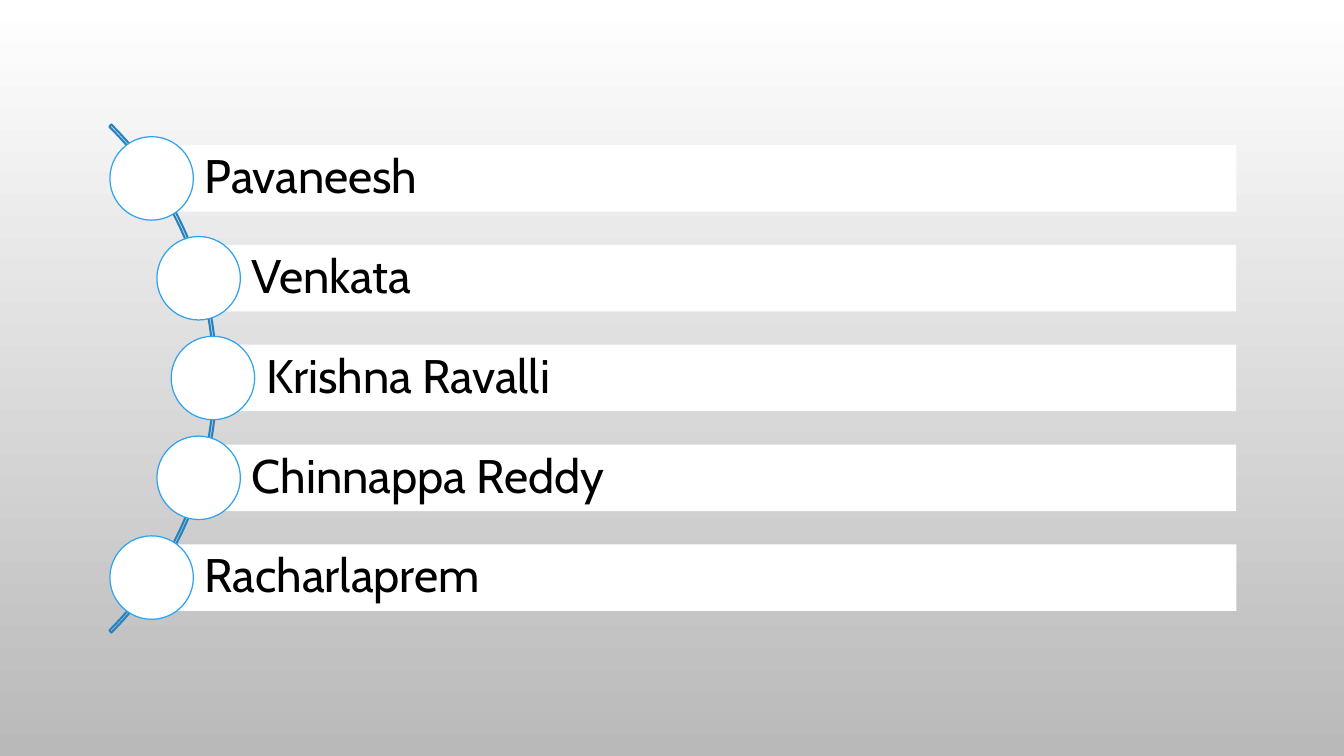
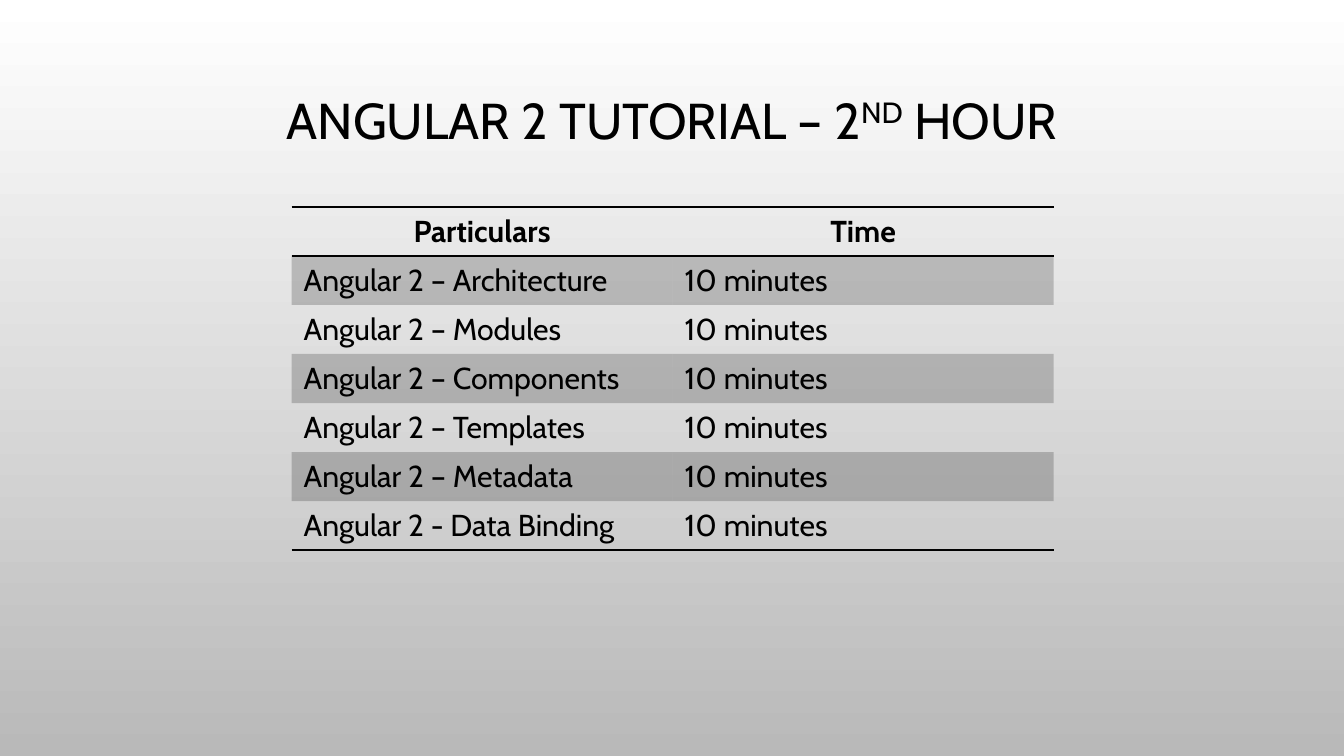
import math
from dataclasses import dataclass
from typing import Any, Optional

from lxml import etree
from pptx import Presentation
from pptx import util as u
from pptx.dml.color import RGBColor
from pptx.enum import shapes, text
from pptx.oxml import ns


@dataclass(frozen=True)
class Theme:
    font: str = "Cabin"
    ink: str = "000000"
    paper: str = "FFFFFF"
    background_end: str = "B9B9B9"
    arc: str = "2683BF"
    ring: str = "2FA3EE"
    name_size: int = 28
    title_size: int = 30
    table_size: int = 18
    band_opacity: int = 20
    plain_table_style: str = "{2D5ABB26-0587-4C30-8999-92F81FD0307C}"


@dataclass(frozen=True)
class Box:
    left: float
    top: float
    width: float
    height: float

    def lengths(self) -> tuple:
        return tuple(u.Inches(n) for n in (self.left, self.top, self.width, self.height))


@dataclass(frozen=True)
class Piece:
    """A stretch of text, raised by a percentage of its size."""
    words: str
    raised: int = 0


@dataclass(frozen=True)
class Topic:
    name: str
    time: str = "10 minutes"


THEME = Theme()
SLIDE_WIDTH, SLIDE_HEIGHT = 11.11, 6.25

NAMES = ["Pavaneesh", "Venkata", "Krishna Ravalli", "Chinnappa Reddy", "Racharlaprem"]
ARC = Box(-4.15, 0.16, 5.94, 5.94)
ORBIT = 2.94
ROW_PITCH = 0.825
BAR_HEIGHT, BAR_RIGHT = 0.55, 10.22
CIRCLE_SIZE = 0.69

TITLE = [Piece("ANGULAR 2 TUTORIAL – 2"), Piece("ND", 30), Piece(" HOUR")]
HEADINGS = Topic("Particulars", "Time")
TOPICS = [
    Topic("Angular 2 – Architecture"),
    Topic("Angular 2 – Modules"),
    Topic("Angular 2 – Components"),
    Topic("Angular 2 – Templates"),
    Topic("Angular 2 – Metadata"),
    Topic("Angular 2 - Data Binding"),
]


def color(value: str) -> RGBColor:
    return RGBColor.from_string(value)


def set_values(target: Any, values: dict) -> None:
    for name, value in values.items():
        setattr(target, name, value)


def write(paragraph: Any, pieces: list, size: int, bold: bool = False, **layout: Any) -> None:
    set_values(paragraph, layout)
    for piece in pieces:
        run = paragraph.add_run()
        run.text = piece.words
        set_values(run.font, {"name": THEME.font, "size": u.Pt(size), "bold": bold})
        run.font.color.rgb = color(THEME.ink)
        if piece.raised:
            run._r.get_or_add_rPr().set("baseline", str(piece.raised * 1000))


def add_shape(slide: Any, kind: Any, box: Box, fill: Optional[str] = None,
              line: Optional[str] = None, line_width: float = 0.75) -> Any:
    shape = slide.shapes.add_shape(kind, *box.lengths())
    shape.shadow.inherit = False
    if fill:
        shape.fill.solid()
        shape.fill.fore_color.rgb = color(fill)
    else:
        shape.fill.background()
    if line:
        shape.line.color.rgb = color(line)
        shape.line.width = u.Pt(line_width)
    else:
        shape.line.fill.background()
    return shape


def style_master(master: Any) -> None:
    fill = master.background.fill
    fill.gradient()
    fill.gradient_angle = 270
    for stop, value in zip(fill.gradient_stops, (THEME.paper, THEME.background_end)):
        stop.color.rgb = color(value)


def add_name_row(slide: Any, name: str, center_x: float, center_y: float) -> None:
    bar = add_shape(slide, shapes.MSO_SHAPE.RECTANGLE,
                    Box(center_x, center_y - BAR_HEIGHT / 2, BAR_RIGHT - center_x, BAR_HEIGHT),
                    fill=THEME.paper)
    margin = u.Inches(0.08)
    set_values(bar.text_frame, {
        "margin_left": u.Inches(0.44), "margin_top": margin,
        "margin_right": margin, "margin_bottom": margin,
        "vertical_anchor": text.MSO_ANCHOR.MIDDLE, "word_wrap": True,
    })
    write(bar.text_frame.paragraphs[0], [Piece(name)], THEME.name_size,
          alignment=text.PP_ALIGN.LEFT, line_spacing=0.9)
    radius = CIRCLE_SIZE / 2
    add_shape(slide, shapes.MSO_SHAPE.OVAL,
              Box(center_x - radius, center_y - radius, CIRCLE_SIZE, CIRCLE_SIZE),
              fill=THEME.paper, line=THEME.ring)


def build_names_slide(slide: Any) -> None:
    """Names whose circles sit on the arc, evenly spaced around its middle."""
    arc = add_shape(slide, shapes.MSO_SHAPE.BLOCK_ARC, ARC, line=THEME.arc, line_width=1.25)
    for index, value in enumerate((189, 27, 0.004)):
        arc.adjustments[index] = value
    arc_center = ARC.left + ARC.width / 2
    for index, name in enumerate(NAMES):
        rise = (index - (len(NAMES) - 1) / 2) * ROW_PITCH
        center_x = arc_center + math.sqrt(ORBIT ** 2 - rise ** 2)
        add_name_row(slide, name, center_x, SLIDE_HEIGHT / 2 + rise)


def add_title(slide: Any, pieces: list) -> None:
    frame = slide.shapes.add_textbox(*Box(0.83, 0.56, 9.45, 0.91).lengths()).text_frame
    set_values(frame, {"word_wrap": True, "vertical_anchor": text.MSO_ANCHOR.MIDDLE})
    write(frame.paragraphs[0], pieces, THEME.title_size,
          alignment=text.PP_ALIGN.CENTER, line_spacing=0.9)


def add_borders(cell: Any, sides: list) -> None:
    """Rule the given sides, named T then B, ahead of the cell's fill."""
    properties = cell._tc.get_or_add_tcPr()
    for position, side in enumerate(sides):
        line = etree.Element(ns.qn(f"a:ln{side}"), w=str(u.Pt(1)))
        fill = etree.SubElement(line, ns.qn("a:solidFill"))
        etree.SubElement(fill, ns.qn("a:srgbClr"), val=THEME.ink)
        properties.insert(position, line)


def fill_band(cell: Any) -> None:
    cell.fill.solid()
    cell.fill.fore_color.rgb = color(THEME.ink)
    ink = next(cell._tc.tcPr.iter(ns.qn("a:srgbClr")))
    etree.SubElement(ink, ns.qn("a:alpha"), val=str(THEME.band_opacity * 1000))


def add_schedule(slide: Any, topics: list) -> None:
    rows = [HEADINGS, *topics]
    graphic = slide.shapes.add_table(len(rows), 2, *Box(2.41, 1.71, 6.3, 2.84).lengths())
    next(graphic.element.iter(ns.qn("a:tableStyleId"))).text = THEME.plain_table_style
    set_values(graphic.table, {"first_row": False, "horz_banding": False})
    for row, topic in enumerate(rows):
        heading = row == 0
        sides = ["T", "B"] if heading else ["B"] if row == len(rows) - 1 else []
        for column, words in enumerate((topic.name, topic.time)):
            cell = graphic.table.cell(row, column)
            write(cell.text_frame.paragraphs[0], [Piece(words)], THEME.table_size, bold=heading,
                  alignment=text.PP_ALIGN.CENTER if heading else text.PP_ALIGN.LEFT)
            if row % 2:
                fill_band(cell)
            else:
                cell.fill.background()
            add_borders(cell, sides)


def build_schedule_slide(slide: Any) -> None:
    add_title(slide, TITLE)
    add_schedule(slide, TOPICS)


def main() -> None:
    presentation = Presentation()
    set_values(presentation, {"slide_width": u.Inches(SLIDE_WIDTH),
                              "slide_height": u.Inches(SLIDE_HEIGHT)})
    style_master(presentation.slide_master)
    blank = presentation.slide_layouts[6]
    for build in (build_names_slide, build_schedule_slide):
        build(presentation.slides.add_slide(blank))
    presentation.save("out.pptx")


if __name__ == "__main__":
    main()
